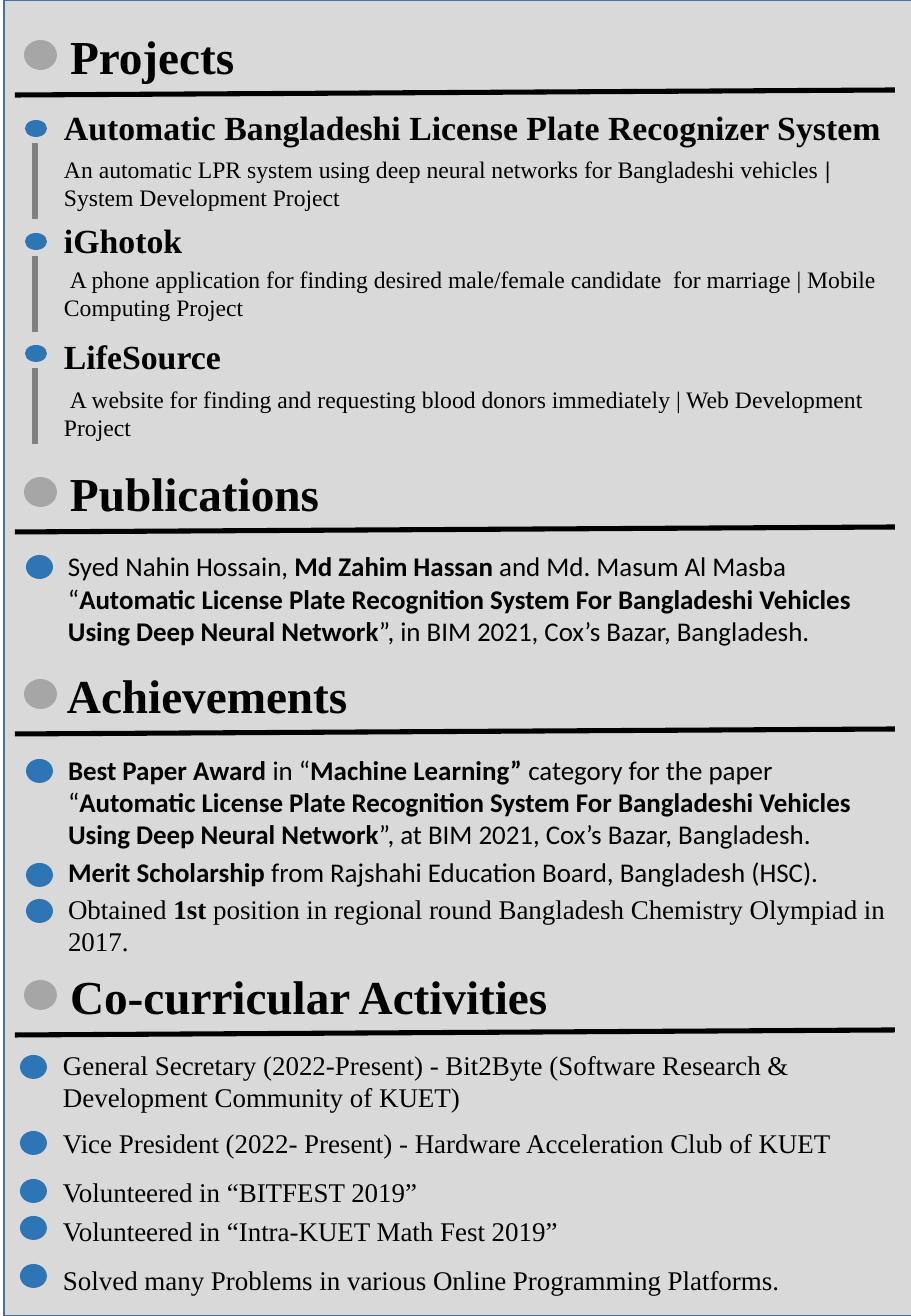
"""Build a one-page profile of projects, publications, achievements and activities."""
from dataclasses import dataclass

from lxml import etree
from pptx import Presentation
from pptx.dml.color import RGBColor
from pptx.enum.shapes import MSO_CONNECTOR, MSO_SHAPE
from pptx.enum.text import MSO_ANCHOR, MSO_AUTO_SIZE, PP_ALIGN
from pptx.oxml.ns import qn
from pptx.util import Pt

EMU_PER_PIXEL = 7526
RECTANGLE, ELLIPSE = MSO_SHAPE.RECTANGLE, MSO_SHAPE.OVAL
STRAIGHT = MSO_CONNECTOR.STRAIGHT
TOP, LEFT, FIXED = MSO_ANCHOR.TOP, PP_ALIGN.LEFT, MSO_AUTO_SIZE.NONE
SERIF, SANS = "Times New Roman", "Calibri"
COLOURS = {"page": "D9D9D9", "frame": "43739E", "text": "000000", "rule": "000000",
           "section": "A6A6A6", "item": "2E75B6", "stem": "808080"}


@dataclass(frozen=True)
class Style:
    size: int
    font: str = SERIF
    bold: bool = False


@dataclass(frozen=True)
class Section:
    heading: str
    top: int
    inset: int = 24
    width: int = 486


@dataclass(frozen=True)
class Project:
    name: str
    summary: str
    name_top: int
    summary_top: int
    dot_top: int


@dataclass(frozen=True)
class Entry:
    text: str
    dot_top: int
    gap: int = 0
    font: str = SERIF


@dataclass(frozen=True)
class Listing:
    left: int
    top: int
    width: int
    height: int
    dot_left: int
    entries: tuple[Entry, ...]


HEADING, PROJECT_NAME, SUMMARY = Style(28, bold=True), Style(20, bold=True), Style(14)
PAPER = "“*Automatic License Plate Recognition System For Bangladeshi Vehicles Using Deep Neural Network*”"

SECTIONS = (
    Section("Projects", 21),
    Section("Publications", 458),
    Section("Achievements", 660, inset=21),
    Section("Co-curricular Activities", 961, width=849),
)
PROJECTS = (
    Project("Automatic Bangladeshi License Plate Recognizer System",
            "An automatic LPR system using deep neural networks for Bangladeshi vehicles* | *"
            "System Development Project", 101, 149, 120),
    Project("iGhotok",
            "\u00a0A phone application for finding desired male/female candidate\u00a0 for marriage"
            " | Mobile Computing Project", 214, 259, 233),
    Project("LifeSource",
            "\u00a0A website for finding and requesting blood donors immediately"
            " | Web Development Project", 330, 379, 345),
)
PUBLICATIONS = Listing(56, 544, 855, 111, 26, (
    Entry("Syed Nahin Hossain, *Md Zahim Hassan* and Md. Masum Al Masba "
          f"{PAPER}, in BIM 2021, Cox’s Bazar, Bangladesh.", 555, font=SANS),
))
ACHIEVEMENTS = Listing(56, 747, 855, 219, 26, (
    Entry("*Best Paper Award *in “*Machine Learning” *category for the paper "
          f"{PAPER}, at BIM 2021, Cox’s Bazar, Bangladesh.", 759, font=SANS),
    Entry("*Merit Scholarship* from Rajshahi Education Board, Bangladesh (HSC).", 863, 5, SANS),
    Entry("Obtained *1st* position in regional round Bangladesh Chemistry Olympiad in 2017.", 899, 5),
))
ACTIVITIES = Listing(51, 1042, 859, 256, 20, (
    Entry("General Secretary (2022-Present) - Bit2Byte (Software Research & "
          "Development Community of KUET)", 1055),
    Entry("Vice President (2022- Present) - Hardware Acceleration Club of KUET", 1131, 14),
    Entry("Volunteered in “BITFEST 2019”", 1179, 16),
    Entry("Volunteered in “Intra-KUET Math Fest 2019”", 1216, 7),
    Entry("Solved many Problems in various Online Programming Platforms.", 1264, 17),
))


def px(pixels: int) -> int:
    """Turn pixels into EMU."""
    return pixels * EMU_PER_PIXEL


def colour(role: str) -> RGBColor:
    """Look up the colour of a role."""
    return RGBColor.from_string(COLOURS[role])


def add_filled(slide, kind, left: int, top: int, width: int, height: int, role: str):
    """Add a flat borderless shape."""
    shape = slide.shapes.add_shape(kind, px(left), px(top), px(width), px(height))
    shape.shadow.inherit = False
    shape.fill.solid()
    shape.fill.fore_color.rgb = colour(role)
    shape.line.fill.background()
    return shape


def add_line(slide, start: tuple[int, int], end: tuple[int, int], role: str) -> None:
    """Add a straight line without a shadow."""
    line = slide.shapes.add_connector(STRAIGHT, *map(px, start + end))
    line.line.color.rgb = colour(role)
    line.line.width = Pt(3)
    etree.SubElement(line.element.spPr, qn("a:effectLst"))


def place(holder, left: int, top: int, width: int, height: int, inset: int = 12):
    """Position a text holder and return its top-anchored frame."""
    holder.left, holder.top, holder.width, holder.height = map(px, (left, top, width, height))
    frame = holder.text_frame
    frame.word_wrap, frame.auto_size, frame.vertical_anchor = True, FIXED, TOP
    frame.margin_left = px(inset)
    return frame


def write(paragraph, text: str, style: Style) -> None:
    """Fill a paragraph, with asterisks enclosing its bold parts."""
    paragraph.alignment = LEFT
    font = paragraph.font
    font.name, font.size, font.bold = style.font, Pt(style.size), style.bold
    font.color.rgb = colour("text")
    for index, part in enumerate(text.split("*")):
        if part:
            run = paragraph.add_run()
            run.text = part
            if index % 2:
                run.font.bold = True


def add_section(slide, holder, section: Section) -> None:
    """Draw a section heading with its dot and rule."""
    frame = place(holder, 46, section.top, section.width, 69, section.inset)
    write(frame.paragraphs[0], section.heading, HEADING)
    add_filled(slide, ELLIPSE, 24, section.top + 19, 33, 30, "section")
    add_line(slide, (15, section.top + 74), (895, section.top + 69), "rule")


def add_project(slide, project: Project) -> None:
    """Draw a project with its dot and stem."""
    add_line(slide, (35, project.dot_top + 99), (35, project.dot_top + 23), "stem")
    add_filled(slide, ELLIPSE, 25, project.dot_top, 22, 17, "item")
    for text, top, height, style in ((project.name, project.name_top, 53, PROJECT_NAME),
                                     (project.summary, project.summary_top, 69, SUMMARY)):
        frame = place(new_box(slide), 52, top, 859, height)
        write(frame.paragraphs[0], text, style)


def add_listing(slide, holder, listing: Listing) -> None:
    """Draw a list with a dot beside each entry."""
    frame = place(holder, listing.left, listing.top, listing.width, listing.height)
    for index, entry in enumerate(listing.entries):
        paragraph = frame.add_paragraph() if index else frame.paragraphs[0]
        properties = paragraph._p.get_or_add_pPr()
        properties.set("marL", "0")
        properties.set("indent", "0")
        etree.SubElement(properties, qn("a:buNone"))
        paragraph.space_before = px(entry.gap)
        write(paragraph, entry.text, Style(16, entry.font))
        add_filled(slide, ELLIPSE, listing.dot_left, entry.dot_top, 27, 24, "item")


def new_box(slide):
    """Add an empty text box."""
    return slide.shapes.add_textbox(0, 0, 0, 0)


def main() -> None:
    """Build and save the slide."""
    deck = Presentation()
    deck.slide_width, deck.slide_height = px(911), px(1316)
    slide = deck.slides.add_slide(deck.slide_layouts.get_by_name("Two Content"))
    title, achievements, activities = slide.placeholders
    page = add_filled(slide, RECTANGLE, 4, 0, 911, 1316, "page")
    page.line.color.rgb = colour("frame")
    page.line.width = Pt(1)
    title.element.addprevious(page.element)
    for section in SECTIONS:
        add_section(slide, title if section is SECTIONS[0] else new_box(slide), section)
    for project in PROJECTS:
        add_project(slide, project)
    add_listing(slide, new_box(slide), PUBLICATIONS)
    add_listing(slide, achievements, ACHIEVEMENTS)
    add_listing(slide, activities, ACTIVITIES)
    deck.save("out.pptx")


main()
